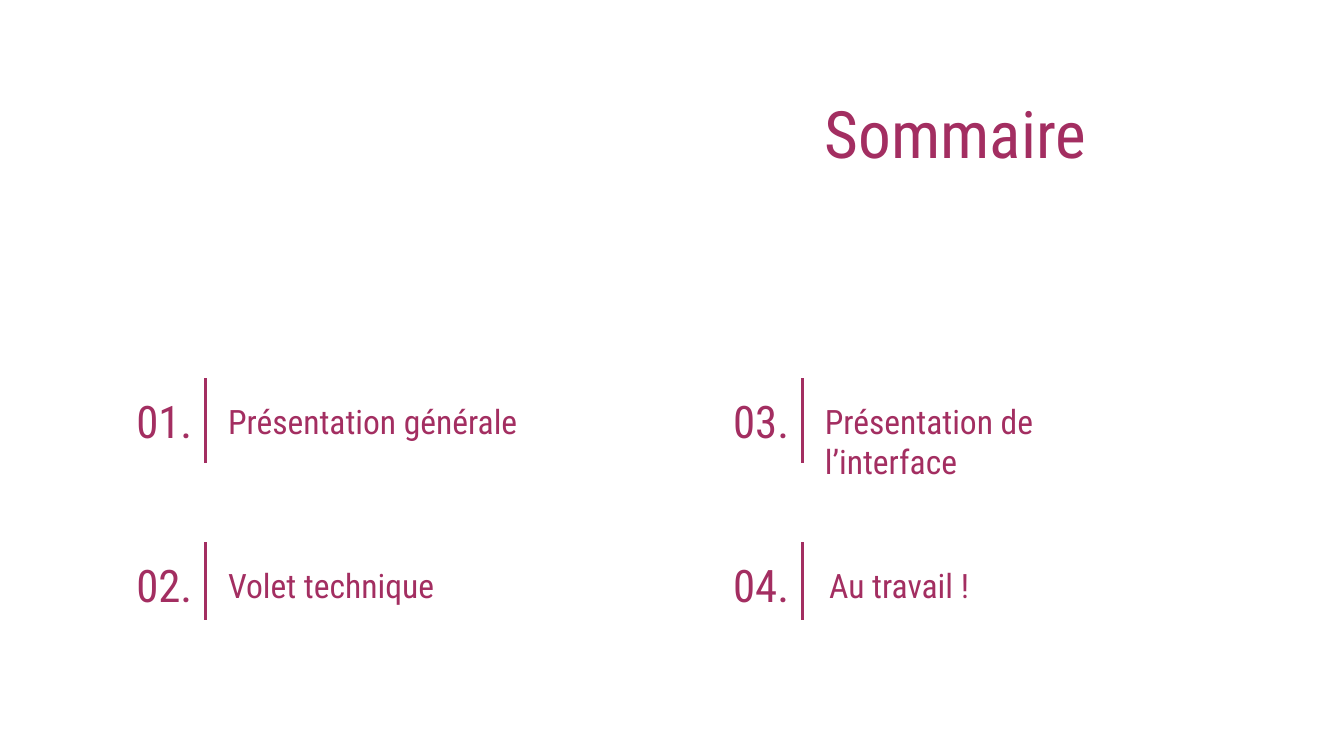
from lxml import etree
from pptx import Presentation
from pptx import util as u
from pptx.dml.color import RGBColor
from pptx.enum import shapes, text
from pptx.oxml.ns import qn

PLUM = RGBColor(0xA3, 0x2E, 0x61)
WHITE = RGBColor(0xFF, 0xFF, 0xFF)
FONT = "Roboto Condensed"
INSET = u.Cm(0.25)

# Agenda grid: two columns, two rows, filled column by column
COLUMNS = (2.18, 13.46)
ROWS = ((7.14, 1.6), (10.24, 1.47))  # top, height of the rule
TOPICS = (
    # label, left offset from the column, width
    ("Présentation générale", 1.88, 7.04),
    ("Volet technique", 1.88, 7.04),
    ("Présentation de l’interface", 1.88, 6.71),
    ("Au travail !", 1.96, 7.04),
)


def place(sp, left, top, width, height):
    box = {"left": left, "top": top, "width": width, "height": height}
    for name, value in box.items():
        setattr(sp, name, u.Cm(value))


def write(sp, label, size, align, anchor):
    tf = sp.text_frame
    tf.text = label
    frame = {"word_wrap": True, "auto_size": text.MSO_AUTO_SIZE.NONE,
             "vertical_anchor": anchor, "margin_left": INSET,
             "margin_right": INSET, "margin_top": INSET,
             "margin_bottom": INSET}
    for name, value in frame.items():
        setattr(tf, name, value)

    p = tf.paragraphs[0]
    pPr = p._p.get_or_add_pPr()
    pPr.set("marL", "0")
    pPr.set("indent", "0")
    etree.SubElement(pPr, qn("a:buNone"))
    for name, value in {"alignment": align, "space_before": u.Pt(0)}.items():
        setattr(p, name, value)

    r = p.runs[0]
    look = {"name": FONT, "size": u.Pt(size), "bold": False}
    for name, value in look.items():
        setattr(r.font, name, value)
    r.font.color.rgb = PLUM


def add_title(s, label):
    sp = s.shapes.title
    place(sp, 12.7, 1.5, 10.72, 2.34)
    write(sp, label, 35, text.PP_ALIGN.CENTER, text.MSO_ANCHOR.TOP)


def add_number(s, number, left, top):
    sp = s.shapes.add_textbox(0, 0, 0, 0)
    place(sp, left, top, 1.85, 1.6)
    write(sp, f"{number:02d}.", 24, text.PP_ALIGN.CENTER,
          text.MSO_ANCHOR.MIDDLE)


def add_rule(s, x, top, height):
    line = s.shapes.add_connector(shapes.MSO_CONNECTOR.STRAIGHT, u.Cm(x),
                                  u.Cm(top), u.Cm(x), u.Cm(top + height))
    line.line.color.rgb = PLUM
    line.line.width = u.Pt(1.5)
    etree.SubElement(line._element.spPr, qn("a:effectLst"))


def add_topic(sp, label, left, top, width):
    place(sp, left, top, width, 1.24)
    write(sp, label, 18, text.PP_ALIGN.LEFT, text.MSO_ANCHOR.TOP)


def main():
    prs = Presentation()
    prs.slide_width, prs.slide_height = u.Cm(25.4), u.Cm(14.28)
    # The comparison layout offers a title and four body placeholders
    s = prs.slides.add_slide(prs.slide_layouts[4])
    s.background.fill.solid()
    s.background.fill.fore_color.rgb = WHITE

    add_title(s, "Sommaire")

    # Agenda entries: number, vertical rule, topic
    bodies = list(s.placeholders)[1:]
    for i, (sp, (label, offset, width)) in enumerate(zip(bodies, TOPICS)):
        left = COLUMNS[i // 2]
        top, height = ROWS[i % 2]
        add_number(s, i + 1, left, top)
        add_rule(s, left + 1.71, top, height)
        add_topic(sp, label, left + offset, top + 0.18, width)

    prs.save("out.pptx")


if __name__ == "__main__":
    main()
